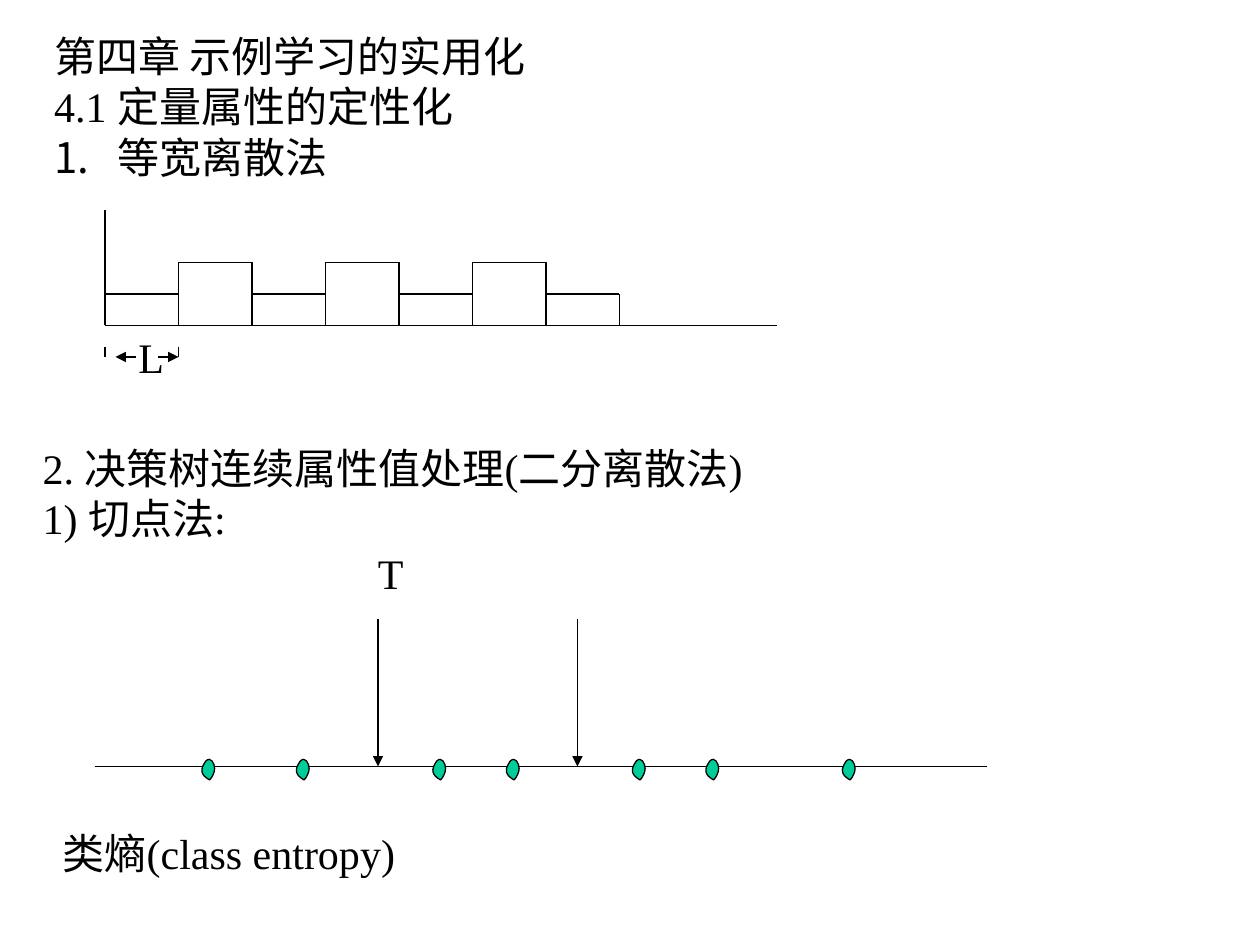
"""Build a slide on turning quantitative attributes into qualitative ones."""
from lxml.etree import SubElement
from pptx import Presentation
from pptx.dml.color import RGBColor
from pptx.enum.shapes import MSO_CONNECTOR
from pptx.enum.text import MSO_ANCHOR, MSO_AUTO_SIZE, PP_ALIGN
from pptx.oxml.ns import qn
from pptx.util import Inches, Pt

BLACK = RGBColor(0x00, 0x00, 0x00)
GREEN = RGBColor(0x00, 0xCC, 0x99)
GRID = Inches(1) // 12
FONT = {"name": "Times New Roman", "size": Pt(24), "bold": False}
FRAME = {
    "margin_left": Inches(0.1), "margin_right": Inches(0.1),
    "margin_top": Inches(0.05), "margin_bottom": Inches(0.05),
    "vertical_anchor": MSO_ANCHOR.TOP, "auto_size": MSO_AUTO_SIZE.NONE,
}


def add_line(x1, y1, x2, y2, arrow=False):
    ends = [v * GRID for v in (x1, y1, x2, y2)]
    cn = s.shapes.add_connector(MSO_CONNECTOR.STRAIGHT, *ends)
    cn.line.color.rgb = BLACK
    cn.line.width = Pt(0.75)
    if arrow:
        SubElement(cn._element.spPr.find(qn("a:ln")), qn("a:tailEnd"), type="triangle")
    SubElement(cn._element.spPr, qn("a:effectLst"))


def write(sp, lines, wrap):
    tf = sp.text_frame
    tf.text = "\n".join(lines)
    for key, value in FRAME.items():
        setattr(tf, key, value)
    tf.word_wrap = wrap
    for p in tf.paragraphs:
        p.alignment = PP_ALIGN.LEFT
        for r in p.runs:
            for key, value in FONT.items():
                setattr(r.font, key, value)
            r.font.color.rgb = BLACK


prs = Presentation()
prs.slide_width, prs.slide_height = Inches(10), Inches(7.5)
s = prs.slides.add_slide(prs.slide_layouts[5])

title = s.shapes.title
title.left, title.top = Inches(0.33), Inches(0.19)
title.width, title.height = Inches(9.43), Inches(1.7)
write(title, ["第四章 示例学习的实用化", "4.1 定量属性的定性化", "等宽离散法"], True)
for p in title.text_frame.paragraphs:
    pPr = p._p.get_or_add_pPr()
    pPr.set("marL", str(Inches(0.5)))
    pPr.set("indent", str(-Inches(0.5)))
SubElement(pPr, qn("a:buFontTx"))
SubElement(pPr, qn("a:buAutoNum"), type="arabicPeriod")

left, base, low, high, step, bins = 10, 31, 28, 25, 7, 7
add_line(left, base, left, 20)
add_line(left, base, 74, base)
for i in range(bins):
    x1, x2 = left + i * step, left + (i + 1) * step
    top = high if i % 2 else low
    add_line(x1, top, x2, top)
    add_line(x2, low if i == bins - 1 else high, x2, base)

for x in (left, left + step):
    add_line(x, 33, x, 34)
add_line(15, 34, 17, 34, arrow=True)
add_line(13, 34, 11, 34, arrow=True)

add_line(9, 73, 94, 73)
drop = [
    (0.05, 0.04), (0, 0.11), (0.01, 0.15), (0.08, 0.19), (0.1, 0.17),
    (0.12, 0.13), (0.12, 0.1), (0.12, 0.06), (0.09, 0), (0.05, 0.04),
]
for x in (19, 28, 41, 48, 60, 67, 80):
    pts = [(x * GRID + Inches(dx), Inches(6 + dy)) for dx, dy in drop]
    fb = s.shapes.build_freeform(*pts[0])
    fb.add_line_segments(pts[1:], close=True)
    sp = fb.convert_to_shape()
    segments = list(sp._element.iter(qn("a:lnTo")))
    for i in range(0, len(drop) - 1, 3):
        curve = segments[i].makeelement(qn("a:cubicBezTo"))
        segments[i].addprevious(curve)
        for segment in segments[i:i + 3]:
            curve.append(segment[0])
            segment.getparent().remove(segment)
    sp.shadow.inherit = False
    sp.fill.solid()
    sp.fill.fore_color.rgb = GREEN
    sp.line.color.rgb = BLACK
    sp.line.width = Pt(0.75)

for x in (36, 55):
    add_line(x, 59, x, 73, arrow=True)

labels = [
    ((1, 2.58, 0.4, 0.5), ["L"], False),
    ((0.24, 3.46, 6.07, 0.9), ["2. 决策树连续属性值处理(二分离散法)", "1) 切点法:"], False),
    ((2.9, 4.3, 0.4, 0.5), ["T"], False),
    ((0.4, 6.52, 9.27, 0.5), ["类熵(class entropy)"], True),
]
for box, lines, wrap in labels:
    write(s.shapes.add_textbox(*[Inches(v) for v in box]), lines, wrap)

prs.save("out.pptx")
